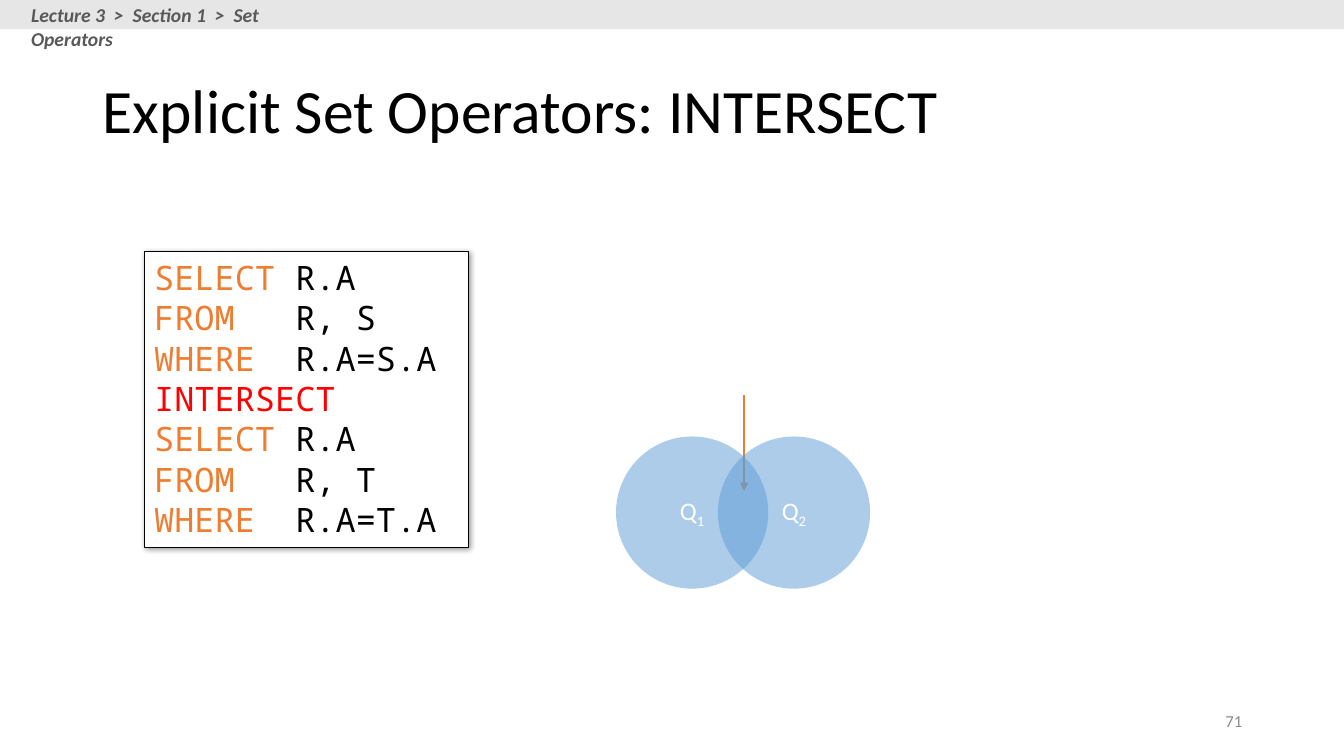
"""Build the slide on the INTERSECT set operator."""
from lxml import etree
from pptx import Presentation
from pptx import util as u
from pptx.dml.color import RGBColor
from pptx.enum import shapes, text
from pptx.oxml import parse_xml
from pptx.oxml.ns import nsdecls, qn


def paint(target, color):
    if hasattr(target, "solid"):
        target.solid()
        target = target.fore_color
    else:
        target = target.color
    target.rgb = RGBColor.from_string(color)


def write(shape, lines, size, font="Calibri", align="LEFT", anchor="TOP",
          bold=False, italic=False, spacing=None):
    frame = shape.text_frame
    frame.word_wrap = True
    frame.auto_size = text.MSO_AUTO_SIZE.NONE
    frame.vertical_anchor = getattr(text.MSO_ANCHOR, anchor)
    for number, parts in enumerate(lines):
        paragraph = frame.add_paragraph() if number else frame.paragraphs[0]
        paragraph.alignment = getattr(text.PP_ALIGN, align)
        if spacing:
            paragraph.line_spacing = spacing
        for words, color, *baseline in parts:
            run = paragraph.add_run()
            run.text = words
            run.font.name, run.font.size = font, u.Pt(size)
            run.font.bold, run.font.italic = bold, italic
            paint(run.font, color)
            for shift in baseline:
                run.font._element.set("baseline", str(shift * 1000))


BLACK, WHITE, ORANGE, RED, BLUE = "000000", "FFFFFF", "ED7D31", "FF0000", "5B9BD5"

deck = Presentation()
deck.slide_width, deck.slide_height = u.Inches(13.33), u.Inches(7.5)
slide = deck.slides.add_slide(deck.slide_layouts[5])

title = slide.shapes.title
title.left, title.top = u.Inches(0.92), u.Inches(0.4)
title.width, title.height = u.Inches(11.5), u.Inches(1.45)
write(title, [[("Explicit Set Operators: INTERSECT", BLACK)]], 44,
      anchor="MIDDLE", spacing=0.9)

page_number = slide.shapes.add_textbox(
    u.Inches(9.42), u.Inches(6.95), u.Inches(3), u.Inches(0.4))
write(page_number, [[("71", "8C8C8C")]], 12, align="RIGHT", anchor="MIDDLE")

query = slide.shapes.add_shape(
    shapes.MSO_SHAPE.RECTANGLE,
    u.Inches(1.43), u.Inches(2.5), u.Inches(3.22), u.Inches(2.93))
paint(query.fill, WHITE)
paint(query.line, BLACK)
query.line.width = u.Pt(0.75)
query._element.spPr.append(parse_xml(
    f'<a:effectLst {nsdecls("a")}><a:outerShdw blurRad="50800" dist="12700" '
    'dir="2700000" algn="tl" rotWithShape="0"><a:srgbClr val="000000">'
    '<a:alpha val="40000"/></a:srgbClr></a:outerShdw></a:effectLst>'))
code = []
for table, operator in (("S", "INTERSECT"), ("T", None)):
    for keyword, operand in (("SELECT", "R.A"), ("FROM", f"R, {table}"),
                             ("WHERE", f"R.A={table}.A")):
        code.append([(keyword, ORANGE), (" " * (7 - len(keyword)) + operand, BLACK)])
    if operator:
        code.append([(operator, RED)])
write(query, code, 24, font="Noto Sans Mono")

header = slide.shapes.add_group_shape().shapes
band = header.add_shape(
    shapes.MSO_SHAPE.RECTANGLE, 0, 0, deck.slide_width, u.Inches(0.29))
band.shadow.inherit = False
paint(band.fill, "E7E6E6")
band.line.fill.background()
breadcrumb = header.add_textbox(
    u.Inches(0.21), u.Inches(-0.02), u.Inches(3.27), u.Inches(0.34))
write(breadcrumb, [[("Lecture 3  >  Section 1  >  Set Operators", "595959")]], 14,
      bold=True, italic=True)

arrow = slide.shapes.add_connector(
    shapes.MSO_CONNECTOR.STRAIGHT,
    u.Inches(7.38), u.Inches(3.92), u.Inches(7.38), u.Inches(4.87))
paint(arrow.line, ORANGE)
arrow.line.width = u.Pt(1.5)
etree.SubElement(arrow.line._get_or_add_ln(), qn("a:tailEnd"), type="triangle")
etree.SubElement(arrow._element.spPr, qn("a:effectLst"))

venn = slide.shapes.add_group_shape().shapes
for index, left in enumerate((6.11, 7.12), start=1):
    circle = venn.add_shape(
        shapes.MSO_SHAPE.OVAL,
        u.Inches(left), u.Inches(4.33), u.Inches(1.51), u.Inches(1.51))
    circle.shadow.inherit = False
    paint(circle.fill, BLUE)
    blue = circle._element.spPr.find(qn("a:solidFill"))[0]
    etree.SubElement(blue, qn("a:alpha"), val="50000")
    circle.line.fill.background()
    write(circle, [[("Q", WHITE), (str(index), WHITE, -25)]], 18,
          align="CENTER", anchor="MIDDLE")

deck.save("out.pptx")
